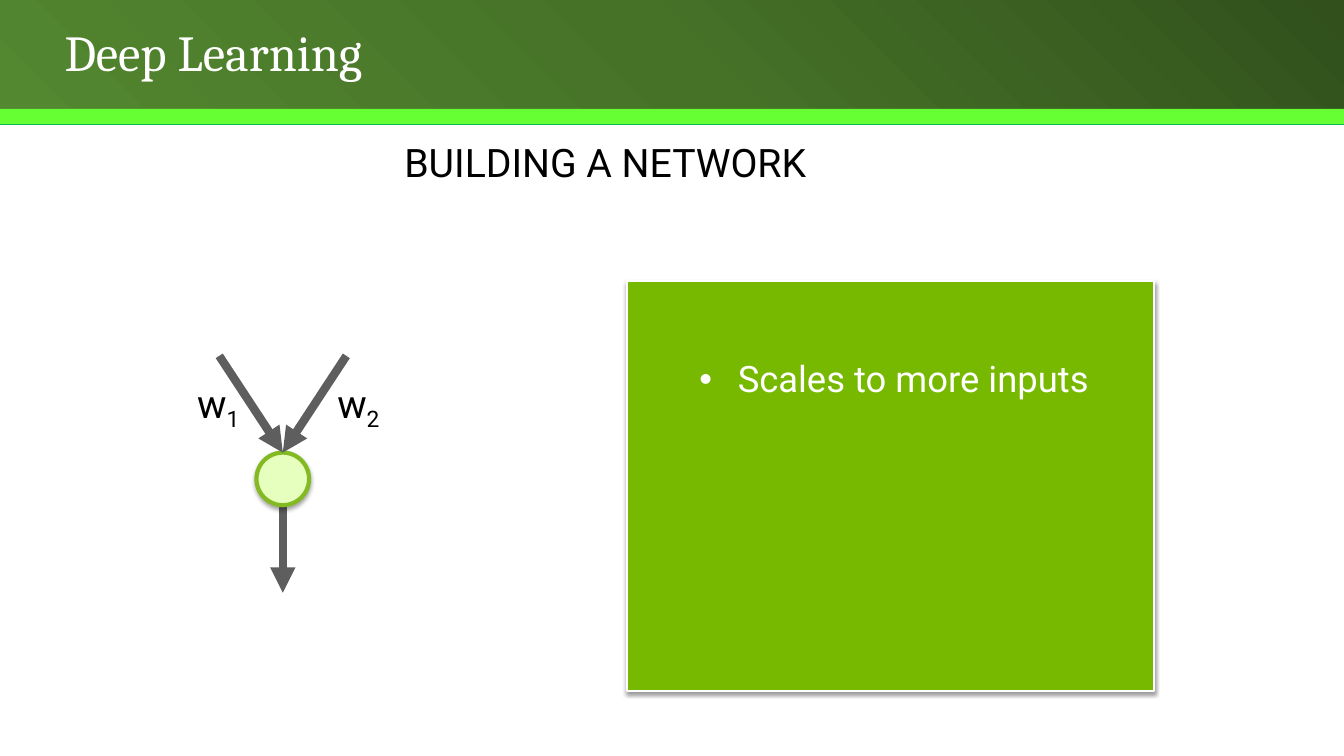
from dataclasses import dataclass

from lxml.etree import SubElement
from pptx import Presentation
from pptx.dml.color import RGBColor
from pptx.enum.shapes import MSO_CONNECTOR, MSO_SHAPE
from pptx.enum.text import MSO_ANCHOR, MSO_AUTO_SIZE, PP_ALIGN
from pptx.oxml import parse_xml
from pptx.oxml.ns import nsdecls, qn
from pptx.util import Pt


@dataclass(frozen=True)
class Theme:
    white: str = "FFFFFF"
    black: str = "000000"
    band_stops: tuple = ((0, "31501C"), (50, "467228"), (100, "538730"))
    band_angle: int = 135
    edge: str = "00B050"
    stripe: str = "66FF33"
    panel: str = "76B900"
    arrow: str = "5E5E5E"
    node: str = "E7FFBE"
    ring: str = "83BA24"
    heading_font: str = "Cambria"
    body_font: str = "Roboto"
    title_size: int = 36
    text_size: int = 28
    list_size: int = 26


THEME = Theme()


def color(code):
    return RGBColor.from_string(code)


def place(box, left, top, width, height):
    box.left, box.top, box.width, box.height = Pt(left), Pt(top), Pt(width), Pt(height)


def paint(box, fill, line=None, line_width=0):
    box.fill.solid()
    box.fill.fore_color.rgb = color(fill)
    if line:
        box.line.color.rgb = color(line)
        box.line.width = Pt(line_width)
    else:
        box.line.fill.background()


def add_shadow(box, opacity, distance):
    box.shadow.inherit = False
    effects = box.element.spPr.find(qn("a:effectLst"))
    effects.append(parse_xml(
        f'<a:outerShdw {nsdecls("a")} blurRad="{Pt(3.1)}" dist="{Pt(distance)}" '
        f'dir="5400000" rotWithShape="0"><a:srgbClr val="{THEME.black}">'
        f'<a:alpha val="{opacity * 1000}"/></a:srgbClr></a:outerShdw>'))


def add_band(page, top, height, fill):
    band = page.shapes.add_shape(MSO_SHAPE.RECTANGLE, 0, Pt(top), Pt(960), Pt(height))
    band.shadow.inherit = False
    paint(band, fill)
    return band


def apply_gradient(band):
    stops = "".join(
        f'<a:gs pos="{position * 1000}"><a:srgbClr val="{code}"/></a:gs>'
        for position, code in THEME.band_stops)
    gradient = parse_xml(
        f'<a:gradFill {nsdecls("a")} rotWithShape="1"><a:gsLst>{stops}</a:gsLst>'
        f'<a:lin ang="{THEME.band_angle * 60000}" scaled="0"/></a:gradFill>')
    properties = band.element.spPr
    properties.replace(properties.find(qn("a:solidFill")), gradient)


def set_frame(box, anchor, wrap=True, auto_size=MSO_AUTO_SIZE.NONE):
    frame = box.text_frame
    frame.auto_size = auto_size
    frame.word_wrap = wrap
    frame.vertical_anchor = anchor
    frame.margin_left = frame.margin_right = Pt(7.2)
    frame.margin_top = frame.margin_bottom = Pt(3.6)
    return frame


def set_paragraph(para, align):
    para.alignment = align
    para.line_spacing = 0.9
    para.space_before = Pt(0)


def add_span(para, text, size, code, font=THEME.body_font):
    span = para.add_run()
    span.text = text
    span.font.size = Pt(size)
    span.font.name = font
    span.font.color.rgb = color(code)
    return span


def add_label(page, position, text, anchor, wrap=True, subscript=None):
    box = page.shapes.add_textbox(*(Pt(value) for value in position))
    fit = MSO_AUTO_SIZE.NONE if wrap else MSO_AUTO_SIZE.SHAPE_TO_FIT_TEXT
    para = set_frame(box, anchor, wrap, fit).paragraphs[0]
    set_paragraph(para, PP_ALIGN.CENTER)
    add_span(para, text, THEME.text_size, THEME.black)
    if subscript:
        span = add_span(para, subscript, THEME.text_size, THEME.black)
        span.font._element.set("baseline", "-25000")


def add_arrow(page, start, end):
    arrow = page.shapes.add_connector(
        MSO_CONNECTOR.STRAIGHT, *(Pt(value) for value in (*start, *end)))
    arrow.line.color.rgb = color(THEME.arrow)
    arrow.line.width = Pt(6)
    properties = arrow.element.spPr
    SubElement(properties.find(qn("a:ln")), qn("a:tailEnd"), type="triangle")
    SubElement(properties, qn("a:effectLst"))
    return arrow


def bring_forward(box):
    box.element.getparent().append(box.element)


def fill_title(title, text):
    bring_forward(title)
    place(title, 38.9, 19.4, 784.8, 39.6)
    para = set_frame(title, MSO_ANCHOR.MIDDLE).paragraphs[0]
    set_paragraph(para, PP_ALIGN.LEFT)
    add_span(para, text, THEME.title_size, THEME.white, THEME.heading_font)


def fill_panel(panel, text):
    bring_forward(panel)
    place(panel, 447.8, 200.9, 376.6, 293)
    paint(panel, THEME.panel, THEME.white, 1.5)
    add_shadow(panel, 38, 1.6)
    frame = set_frame(panel, MSO_ANCHOR.TOP)
    frame.margin_top = Pt(57)
    para = frame.paragraphs[0]
    para.level = 1
    set_paragraph(para, PP_ALIGN.LEFT)
    para.space_after = Pt(9)
    properties = para._p.get_or_add_pPr()
    properties.set("marL", str(Pt(72)))
    properties.set("indent", str(Pt(-27.4)))
    bullet_color = SubElement(properties, qn("a:buClr"))
    SubElement(bullet_color, qn("a:srgbClr"), val=THEME.white)
    SubElement(properties, qn("a:buFont"), typeface="Arial")
    SubElement(properties, qn("a:buChar"), char="•")
    add_span(para, text, THEME.list_size, THEME.white)


def add_neuron(page):
    center, spread, input_top = 202, 45.4, 254.2
    node_top, node_size = 323.3, 37.6
    node_bottom = node_top + node_size
    add_arrow(page, (center, node_bottom), (center, 423.4))
    node = page.shapes.add_shape(
        MSO_SHAPE.OVAL, Pt(center - node_size / 2), Pt(node_top), Pt(node_size), Pt(node_size))
    paint(node, THEME.node, THEME.ring, 3)
    add_shadow(node, 34, 1.8)
    for side, subscript, label_left in ((-1, "1", 133.2), (1, "2", 233.3)):
        arrow = add_arrow(page, (center + side * spread, input_top), (center, node_top))
        arrow.end_connect(node, 0)
        add_label(page, (label_left, 269.3, 45.4, 38.2), "w", MSO_ANCHOR.MIDDLE, False, subscript)


def main():
    deck = Presentation()
    deck.slide_width, deck.slide_height = Pt(960), Pt(540)
    page = deck.slides.add_slide(deck.slide_layouts[1])
    apply_gradient(add_band(page, 0, 78.5, THEME.edge))
    add_band(page, 78.5, 10.8, THEME.edge)
    add_band(page, 77.8, 10.8, THEME.stripe)
    fill_title(page.shapes.title, "Deep Learning")
    add_label(page, (39.6, 89.3, 785.5, 46.8), "BUILDING A NETWORK", MSO_ANCHOR.BOTTOM)
    fill_panel(page.placeholders[1], "Scales to more inputs")
    add_neuron(page)
    deck.save("out.pptx")


if __name__ == "__main__":
    main()
